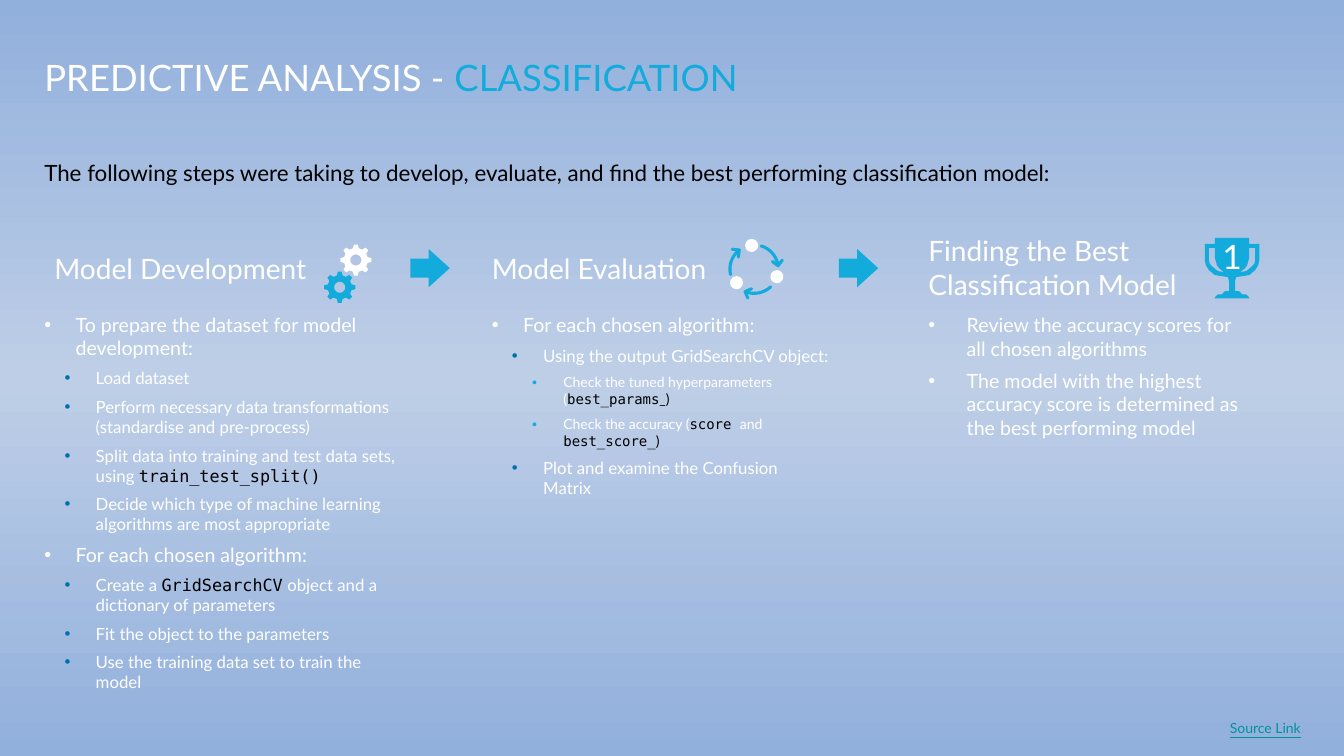
from dataclasses import dataclass
from math import cos, radians, sin

from lxml import etree
from pptx import Presentation
from pptx.dml.color import RGBColor
from pptx.enum.shapes import MSO_SHAPE
from pptx.enum.text import MSO_ANCHOR, MSO_AUTO_SIZE, PP_ALIGN
from pptx.oxml.ns import qn
from pptx.util import Inches, Pt

ARROW, OVAL = MSO_SHAPE.RIGHT_ARROW, MSO_SHAPE.OVAL
TOP, MIDDLE, BOTTOM = MSO_ANCHOR.TOP, MSO_ANCHOR.MIDDLE, MSO_ANCHOR.BOTTOM
CENTER = PP_ALIGN.CENTER
FIT = MSO_AUTO_SIZE.SHAPE_TO_FIT_TEXT


@dataclass(frozen=True)
class Theme:
    """Colours, fonts and type sizes of the deck."""
    white: str = "FFFFFF"
    black: str = "000000"
    accent: str = "12ABDB"
    blue: str = "0070AD"
    link: str = "00929B"
    backdrop: tuple = ((0, "92B0DC"), (50, "BECEE7"), (100, "92B0DC"))
    font: str = "Lato"
    mono: str = "DejaVu Sans Mono"
    title: int = 26
    heading: int = 20
    intro: int = 16
    trophy: int = 24
    small: int = 10
    levels: tuple = (14, 12, 10)


T = Theme()
BULLET_COLORS = (T.white, T.blue, T.accent)
PAD = (0.1, 0.05, 0.1, 0.05)
FLUSH = (0, 0, 0, 0)

DEVELOPMENT = [
    (0, ["To prepare the dataset for model development:"]),
    (1, ["Load dataset"]),
    (1, ["Perform necessary data transformations (standardise and pre-process)"]),
    (1, ["Split data into training and test data sets, using ", ("train_test_split()", T.mono)]),
    (1, ["Decide which type of machine learning algorithms are most appropriate"]),
    (0, ["For each chosen algorithm:"]),
    (1, ["Create a ", ("GridSearchCV", T.mono), " object and a dictionary of parameters"]),
    (1, ["Fit the object to the parameters"]),
    (1, ["Use the training data set to train the model"]),
]
EVALUATION = [
    (0, ["For each chosen algorithm:"]),
    (1, ["Using the output GridSearchCV object:"]),
    (2, ["Check the tuned hyperparameters (", ("best_params", T.mono), ("_)", T.font)]),
    (2, ["Check the accuracy (", ("score ", T.mono), "and ", ("best_score_", T.mono), (")", T.font)]),
    (1, ["Plot and examine the Confusion Matrix"]),
]
BEST_MODEL = [
    (0, ["Review the accuracy scores for all chosen algorithms"]),
    (0, ["The model with the highest accuracy score is determined as the best performing model"]),
]


def add_run(p, text, *, size, color=T.white, font=T.font, underline=None):
    """Append a formatted run to a paragraph."""
    r = p.add_run()
    r.text = text
    r.font.size, r.font.name, r.font.underline = Pt(size), font, underline
    r.font.color.rgb = RGBColor.from_string(color)


def set_frame(tf, *, anchor=TOP, pad=PAD, wrap=True):
    """Set the anchor, insets and wrapping of a text frame."""
    tf.word_wrap, tf.vertical_anchor = wrap, anchor
    tf.margin_left, tf.margin_top, tf.margin_right, tf.margin_bottom = map(Inches, pad)


def add_text(slide, box, runs, *, size, color=T.white, underline=None, after=0, spacing=None, **frame):
    """Add a one-paragraph text box; a run is a string or a (text, colour) pair."""
    sp = slide.shapes.add_textbox(*map(Inches, box))
    set_frame(sp.text_frame, **frame)
    p = sp.text_frame.paragraphs[0]
    p.space_after, p.line_spacing = Pt(after), spacing
    for run in runs:
        text, tint = (run, color) if isinstance(run, str) else run
        add_run(p, text, size=size, color=tint, underline=underline)
    return sp


def add_bullets(slide, box, items, *, indent, pad=PAD):
    """Add a multi-level bulleted list in a box."""
    sp = slide.shapes.add_textbox(*map(Inches, box))
    tf = sp.text_frame
    set_frame(tf, pad=pad)
    for i, (level, runs) in enumerate(items):
        p = tf.add_paragraph() if i else tf.paragraphs[0]
        p.level, p.space_after = level, Pt(6)
        pPr = p._p.get_or_add_pPr()
        pPr.set("marL", str(Inches(indent + 0.2 * level)))
        pPr.set("indent", str(-Inches(indent)))
        clr = etree.SubElement(pPr, qn("a:buClr"))
        etree.SubElement(clr, qn("a:srgbClr"), val=BULLET_COLORS[level])
        etree.SubElement(pPr, qn("a:buFont"), typeface="Arial")
        etree.SubElement(pPr, qn("a:buChar"), char="•")
        for run in runs:
            text, font = (run, T.font) if isinstance(run, str) else run
            color = T.white if isinstance(run, str) else T.black
            add_run(p, text, size=T.levels[level], color=color, font=font)


def paint(sp, color):
    """Give a shape a plain fill without line or shadow."""
    sp.shadow.inherit = False
    sp.fill.solid()
    sp.fill.fore_color.rgb = RGBColor.from_string(color)
    sp.line.fill.background()


def add_outline(slide, contours, close=True):
    """Build a freeform from contours of points in inches."""
    contours = [[(Inches(x), Inches(y)) for x, y in points] for points in contours]
    fb = slide.shapes.build_freeform(*contours[0][0])
    for i, points in enumerate(contours):
        if i:
            fb.move_to(*points[0])
        fb.add_line_segments(points[1:], close=close)
    return fb.convert_to_shape()


def polar(x, y, radius, angle):
    """Return the point at an angle in degrees around a centre."""
    return x + radius * cos(radians(angle)), y + radius * sin(radians(angle))


def add_gear(slide, x, y, color):
    """Draw an eight-tooth gear with a round hole."""
    tooth = ((0.12, -14), (0.155, -7), (0.155, 7), (0.12, 14))
    rim = [polar(x, y, r, 45 * k + a) for k in range(8) for r, a in tooth]
    hole = [polar(x, y, 0.055, -a) for a in range(0, 360, 15)]
    paint(add_outline(slide, [rim, hole]), color)


def add_cycle(slide, x, y):
    """Draw three curved arrows and three dots around a centre."""
    for start in (-73, 47, 167):
        arc = [polar(x, y, 0.24, start + a) for a in range(0, 66, 5)]
        back = start + 65 - 90
        head = [polar(*arc[-1], 0.07, back - 45), arc[-1], polar(*arc[-1], 0.07, back + 45)]
        sp = add_outline(slide, [arc, head], close=False)
        sp.shadow.inherit = False
        sp.fill.background()
        sp.line.color.rgb = RGBColor.from_string(T.accent)
        sp.line.width = Pt(2.2)
        sp._element.spPr.find(qn("a:ln")).set("cap", "rnd")
    for dx, dy in ((-0.24, 0.07), (0.16, 0.01), (-0.09, -0.3)):
        paint(slide.shapes.add_shape(OVAL, *map(Inches, (x + dx, y + dy, 0.13, 0.13))), T.white)


def add_trophy(slide, x, y):
    """Draw a two-handled cup marked 1, centred on x with its top at y."""
    half = [(0.17, 0), (0.17, 0.06), (0.27, 0.06), (0.27, 0.22), (0.26, 0.27), (0.23, 0.32),
            (0.17, 0.37), (0.04, 0.39), (0.03, 0.43), (0.03, 0.53), (0.07, 0.53),
            (0.1, 0.56), (0.14, 0.56), (0.17, 0.59), (0.17, 0.6)]
    handle = [(0.17, 0.1), (0.23, 0.1), (0.23, 0.22), (0.22, 0.26), (0.19, 0.29),
              (0.14, 0.33), (0.08, 0.34), (0.13, 0.3), (0.15, 0.27), (0.17, 0.2)]
    right, left = ([(x + side * dx, y + dy) for dx, dy in half] for side in (1, -1))
    holes = [[(x + side * dx, y + dy) for dx, dy in handle] for side in (1, -1)]
    sp = add_outline(slide, [right + left[::-1], *holes])
    paint(sp, T.accent)
    set_frame(sp.text_frame, anchor=MIDDLE, pad=(0, 0, 0, 0.24))
    p = sp.text_frame.paragraphs[0]
    p.alignment = CENTER
    add_run(p, "1", size=T.trophy)


def add_step(slide, heading_box, heading, body_box, items, *, anchor=MIDDLE, **bullets):
    """Add a step: its heading above its bulleted list."""
    add_text(slide, heading_box, [heading], size=T.heading, after=6, anchor=anchor)
    add_bullets(slide, body_box, items, **bullets)


def add_step_arrow(slide, x, y):
    """Add the block arrow that leads to the next step."""
    sp = slide.shapes.add_shape(ARROW, *map(Inches, (x, y, 0.39, 0.38)))
    sp.adjustments[0], sp.adjustments[1] = 0.5, 0.55
    paint(sp, T.accent)


def set_backdrop(slide):
    """Fill the background with a vertical gradient."""
    fill = slide.background.fill
    fill.gradient()
    fill.gradient_angle = 270
    stops = slide._element.find(".//" + qn("a:gsLst"))
    for gs in list(stops):
        stops.remove(gs)
    for pos, color in T.backdrop:
        gs = etree.SubElement(stops, qn("a:gs"), pos=str(pos * 1000))
        etree.SubElement(gs, qn("a:srgbClr"), val=color)


def build_classification(slide):
    """Lay out the classification workflow slide."""
    set_backdrop(slide)
    add_text(slide, (0.44, 0.21, 11.97, 0.78), ["PREDICTIVE ANALYSIS - ", ("CLASSIFICATION", T.accent)],
             size=T.title, spacing=0.9, anchor=BOTTOM, pad=FLUSH)
    add_text(slide, (0.44, 1.58, 12.47, 0.76),
             ["The following steps were taking to develop, evaluate, and find "
              "the best performing classification model:"],
             size=T.intro, color=T.black, after=6, pad=FLUSH)
    add_step(slide, (0.44, 2.28, 3.78, 0.77), "Model Development",
             (0.44, 3.1, 3.63, 3.72), DEVELOPMENT, indent=0.31, pad=FLUSH)
    add_step(slide, (4.78, 2.32, 2.79, 0.69), "Model Evaluation",
             (4.78, 3.06, 3.54, 3.76), EVALUATION, indent=0.31)
    add_step(slide, (9.11, 2.27, 3.78, 0.79), "Finding the Best Classification Model",
             (9.11, 3.06, 3.38, 3.76), BEST_MODEL, indent=0.38, anchor=TOP)
    for x in (4.07, 8.32):
        add_step_arrow(slide, x, 2.47)
    add_gear(slide, 3.53, 2.58, T.white)
    add_gear(slide, 3.37, 2.85, T.accent)
    add_cycle(slide, 7.48, 2.67)
    add_trophy(slide, 12.22, 2.36)
    sp = add_text(slide, (12.1, 7.09, 0.98, 0.28), ["Source Link"],
                  size=T.small, color=T.link, underline=True, wrap=False)
    sp.text_frame.auto_size = FIT


def main():
    """Build and save the presentation."""
    prs = Presentation()
    prs.slide_width, prs.slide_height = Inches(13.33), Inches(7.5)
    build_classification(prs.slides.add_slide(prs.slide_layouts[6]))
    prs.save("out.pptx")


if __name__ == "__main__":
    main()
